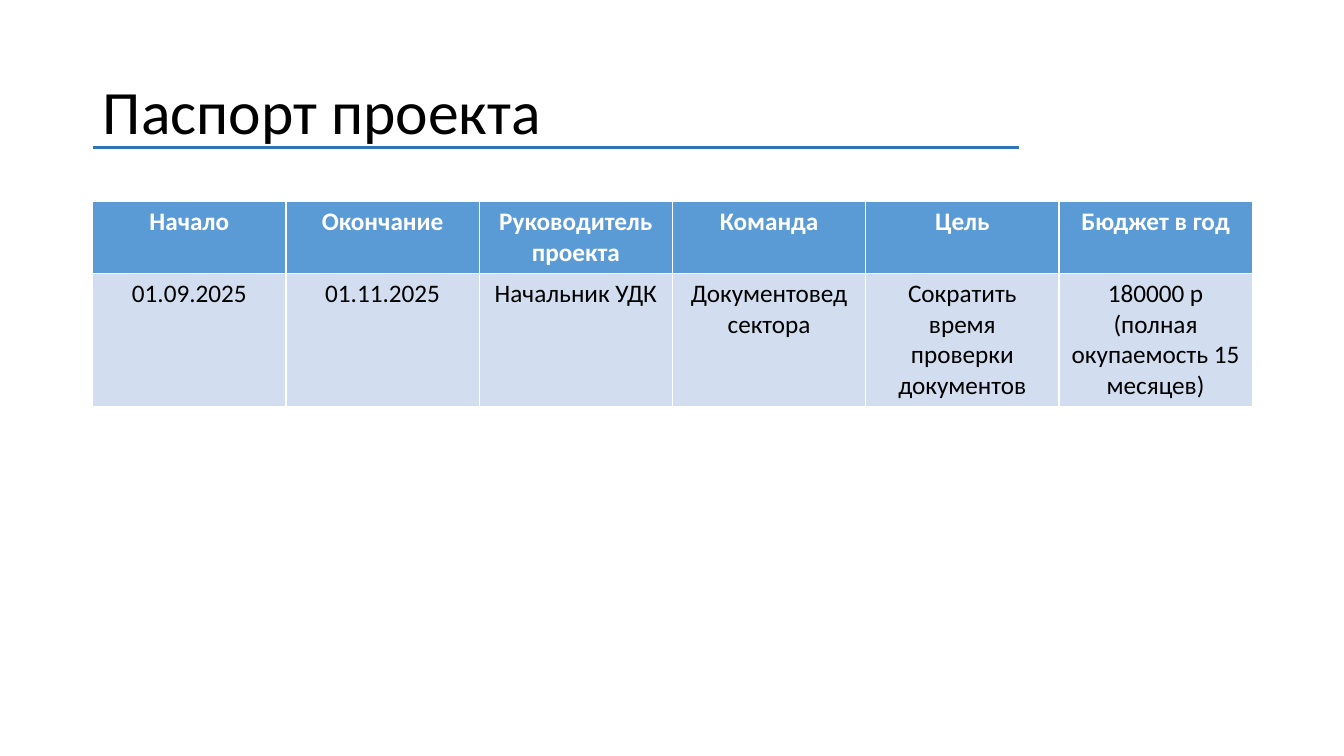
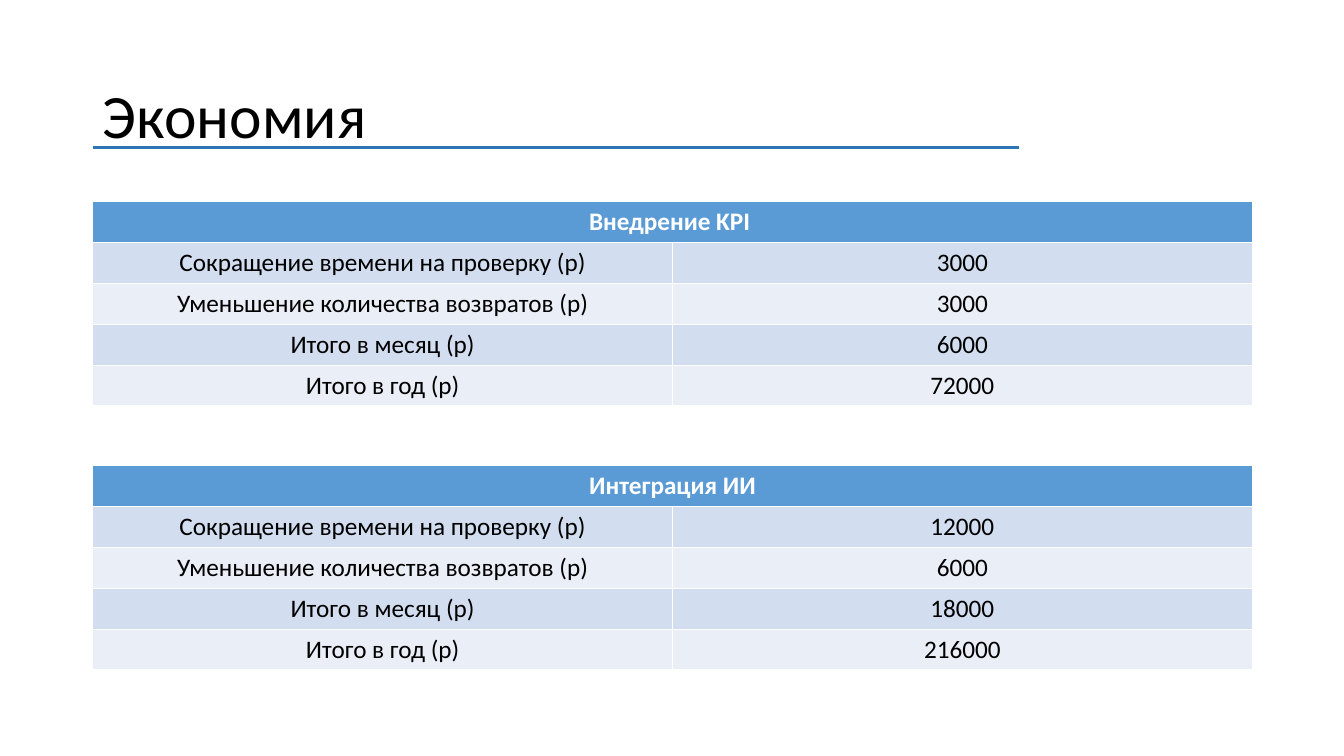
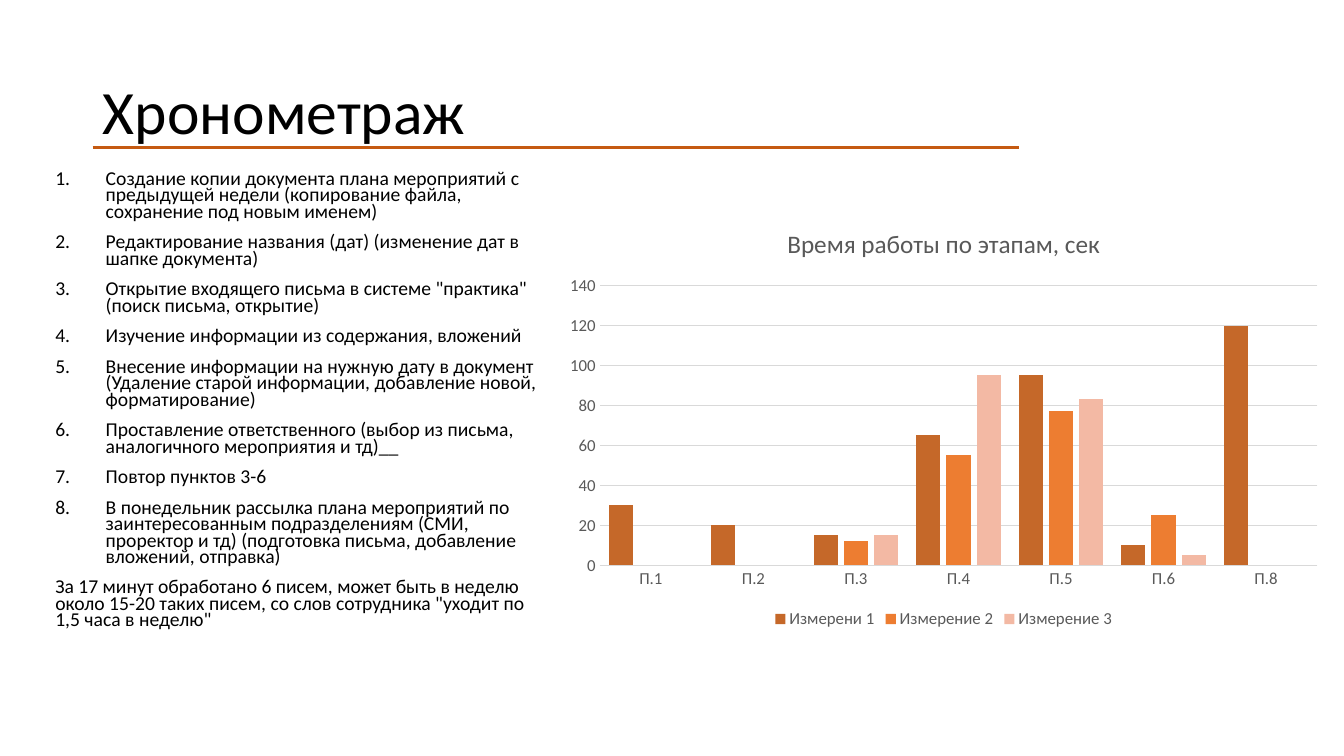
import dataclasses
import typing

import lxml.etree
import pptx
import pptx.chart.data
import pptx.dml.color
import pptx.enum.chart
import pptx.enum.shapes
import pptx.enum.text
import pptx.oxml.ns
import pptx.util

Inches = pptx.util.Inches
Pt = pptx.util.Pt
Align = pptx.enum.text.PP_ALIGN

FONT = "Calibri"
COLORS = {
    "text": "000000",
    "white": "FFFFFF",
    "header": "5B9BD5",
    "band_dark": "D2DEEF",
    "band_light": "EAEFF7",
    "rule_blue": "2E75B6",
    "rule_orange": "C55A11",
    "chart_text": "595959",
    "chart_line": "D9D9D9",
    "series_1": "C56829",
    "series_2": "ED7D31",
    "series_3": "F3B9A4",
}
LEFT = 0.92
CONTENT_WIDTH = 11.5
TABLE_TOP = 2.0
ROW_HEIGHT = 0.4


@dataclasses.dataclass(frozen=True)
class TableSpec:
    top: float
    rows: list[list[str]]
    row_heights: list[float]
    merged_header: bool = False


@dataclasses.dataclass(frozen=True)
class Series:
    name: str
    values: list[int | None]
    color: str


# Shared helpers
def rgb(name: str) -> pptx.dml.color.RGBColor:
    return pptx.dml.color.RGBColor.from_string(COLORS[name])


def set_font(font: typing.Any, size: float, color: str = "text", bold: bool = False) -> None:
    font.name = FONT
    font.size = Pt(size)
    font.bold = bold
    font.color.rgb = rgb(color)


def write_paragraph(para: typing.Any, text: str, *, size: float, color: str = "text",
                    bold: bool = False, align: typing.Any = Align.LEFT,
                    line_spacing: float | None = None, space_before: float = 0,
                    numbered: bool = False) -> None:
    if numbered:
        properties = para._p.get_or_add_pPr()
        properties.set("marL", str(Inches(0.5)))
        properties.set("indent", str(Inches(-0.5)))
        lxml.etree.SubElement(properties, pptx.oxml.ns.qn("a:buAutoNum"), type="arabicPeriod")
    para.alignment = align
    para.space_before = Pt(space_before)
    if line_spacing:
        para.line_spacing = line_spacing
    span = para.add_run()
    span.text = text
    set_font(span.font, size, color, bold)


def add_page(deck: typing.Any, title: str, rule_color: str, title_top: float = 0.41,
             title_height: float = 1.45) -> typing.Any:
    page = deck.slides.add_slide(deck.slide_layouts[5])
    box = page.shapes.title
    box.left, box.top = Inches(LEFT), Inches(title_top)
    box.width, box.height = Inches(CONTENT_WIDTH), Inches(title_height)
    frame = box.text_frame
    frame.auto_size = pptx.enum.text.MSO_AUTO_SIZE.NONE
    frame.vertical_anchor = pptx.enum.text.MSO_ANCHOR.MIDDLE
    write_paragraph(frame.paragraphs[0], title, size=44, line_spacing=0.9)

    rule = page.shapes.add_connector(
        pptx.enum.shapes.MSO_CONNECTOR.STRAIGHT,
        Inches(LEFT), Inches(1.46), Inches(10.11), Inches(1.46))
    rule.line.color.rgb = rgb(rule_color)
    rule.line.width = Pt(2.25)
    lxml.etree.SubElement(rule._element.spPr, pptx.oxml.ns.qn("a:effectLst"))
    return page


def add_table(page: typing.Any, spec: TableSpec) -> None:
    column_count = len(spec.rows[-1])
    table = page.shapes.add_table(
        len(spec.rows), column_count, Inches(LEFT), Inches(spec.top),
        Inches(CONTENT_WIDTH), Inches(sum(spec.row_heights))).table
    for row, height in zip(table.rows, spec.row_heights):
        row.height = Inches(height)
    if spec.merged_header:
        table.cell(0, 0).merge(table.cell(0, column_count - 1))
    for row_index, texts in enumerate(spec.rows):
        header = row_index == 0
        band = "band_dark" if row_index % 2 else "band_light"
        for column_index in range(column_count):
            cell = table.cell(row_index, column_index)
            cell.fill.solid()
            cell.fill.fore_color.rgb = rgb("header" if header else band)
            if column_index < len(texts):
                write_paragraph(cell.text_frame.paragraphs[0], texts[column_index], size=18,
                                color="white" if header else "text", bold=header,
                                align=Align.CENTER)


# Slide 1: project passport
def build_passport(deck: typing.Any) -> None:
    page = add_page(deck, "Паспорт проекта", "rule_blue")
    rows = [
        ["Начало", "Окончание", "Руководитель проекта", "Команда", "Цель", "Бюджет в год"],
        ["01.09.2025", "01.11.2025", "Начальник УДК", "Документовед сектора",
         "Сократить время проверки документов", "180000 р (полная окупаемость 15 месяцев)"],
    ]
    add_table(page, TableSpec(TABLE_TOP, rows, [0.7, 1.3]))


# Slide 2: savings
def build_savings(deck: typing.Any) -> None:
    page = add_page(deck, "Экономия", "rule_blue", title_top=0.66, title_height=1.04)
    labels = ["Сокращение времени на проверку (р)", "Уменьшение количества возвратов (р)",
              "Итого в месяц (р)", "Итого в год (р)"]
    blocks = [
        (TABLE_TOP, "Внедрение KPI ", [3000, 3000, 6000, 72000]),
        (4.62, "Интеграция ИИ", [12000, 6000, 18000, 216000]),
    ]
    for top, heading, amounts in blocks:
        rows = [[heading]] + [[label, str(amount)] for label, amount in zip(labels, amounts)]
        add_table(page, TableSpec(top, rows, [ROW_HEIGHT] * len(rows), merged_header=True))


# Slide 3: timing of the work stages
STEPS = [
    "Создание копии документа плана мероприятий с предыдущей недели (копирование файла, "
    "сохранение под новым именем)",
    "Редактирование названия (дат) (изменение дат в шапке документа)",
    'Открытие входящего письма в системе "практика" (поиск письма, открытие)',
    "Изучение информации из содержания, вложений",
    "Внесение информации на нужную дату в документ (Удаление старой информации, "
    "добавление новой, форматирование)",
    "Проставление ответственного (выбор из письма, аналогичного мероприятия и тд)__",
    "Повтор пунктов 3-6",
    "В понедельник рассылка плана мероприятий по заинтересованным подразделениям (СМИ, "
    "проректор и тд) (подготовка письма, добавление вложений, отправка)",
]
SUMMARY = ("За 17 минут обработано 6 писем, может быть в неделю около 15-20 таких писем, "
           'со слов сотрудника "уходит по 1,5 часа в неделю"')
STAGES = ["П.1", "П.2", "П.3", "П.4", "П.5", "П.6", "П.8"]
MEASUREMENTS = [
    Series("Измерени 1", [30, 20, 15, 65, 95, 10, 120], "series_1"),
    Series("Измерение 2", [None, None, 12, 55, 77, 25, None], "series_2"),
    Series("Измерение 3", [None, None, 15, 95, 83, 5, None], "series_3"),
]


def add_steps(page: typing.Any) -> None:
    box = page.shapes.add_textbox(Inches(0.45), Inches(1.66), Inches(5.05), Inches(5.01))
    frame = box.text_frame
    frame.word_wrap = True
    for index, text in enumerate(STEPS + [SUMMARY]):
        para = frame.add_paragraph() if index else frame.paragraphs[0]
        write_paragraph(para, text, size=14, line_spacing=0.7,
                        space_before=10 if index else 0, numbered=index < len(STEPS))


def add_stage_chart(page: typing.Any) -> None:
    data = pptx.chart.data.CategoryChartData()
    data.categories = STAGES
    for measurement in MEASUREMENTS:
        data.add_series(measurement.name, measurement.values)
    chart = page.shapes.add_chart(
        pptx.enum.chart.XL_CHART_TYPE.COLUMN_CLUSTERED,
        Inches(5.5), Inches(2.06), Inches(7.72), Inches(4.22), data).chart
    set_font(chart.font, 12, "chart_text")

    chart.has_title = True
    write_paragraph(chart.chart_title.text_frame.paragraphs[0], "Время работы по этапам, сек",
                    size=18, color="chart_text", align=Align.CENTER)
    chart.chart_title.include_in_layout = False
    chart.has_legend = True
    chart.legend.position = pptx.enum.chart.XL_LEGEND_POSITION.BOTTOM
    chart.legend.include_in_layout = False
    set_font(chart.legend.font, 12, "chart_text")

    plot = chart.plots[0]
    plot.gap_width = 75
    plot.overlap = -25
    plot.vary_by_categories = False
    for series, measurement in zip(plot.series, MEASUREMENTS):
        series.format.fill.solid()
        series.format.fill.fore_color.rgb = rgb(measurement.color)

    for axis in (chart.category_axis, chart.value_axis):
        axis.major_tick_mark = pptx.enum.chart.XL_TICK_MARK.NONE
        set_font(axis.tick_labels.font, 12, "chart_text")
    chart.value_axis.maximum_scale = 140
    chart.value_axis.minimum_scale = 0
    chart.value_axis.major_unit = 20
    chart.value_axis.format.line.fill.background()
    for line in (chart.category_axis.format.line, chart.value_axis.major_gridlines.format.line):
        line.color.rgb = rgb("chart_line")
        line.width = Pt(0.75)


def build_timing(deck: typing.Any) -> None:
    page = add_page(deck, "Хронометраж", "rule_orange")
    add_stage_chart(page)
    add_steps(page)


def main() -> None:
    deck = pptx.Presentation()
    deck.slide_width = Inches(13.33)
    deck.slide_height = Inches(7.5)
    build_passport(deck)
    build_savings(deck)
    build_timing(deck)
    deck.save("out.pptx")


if __name__ == "__main__":
    main()
